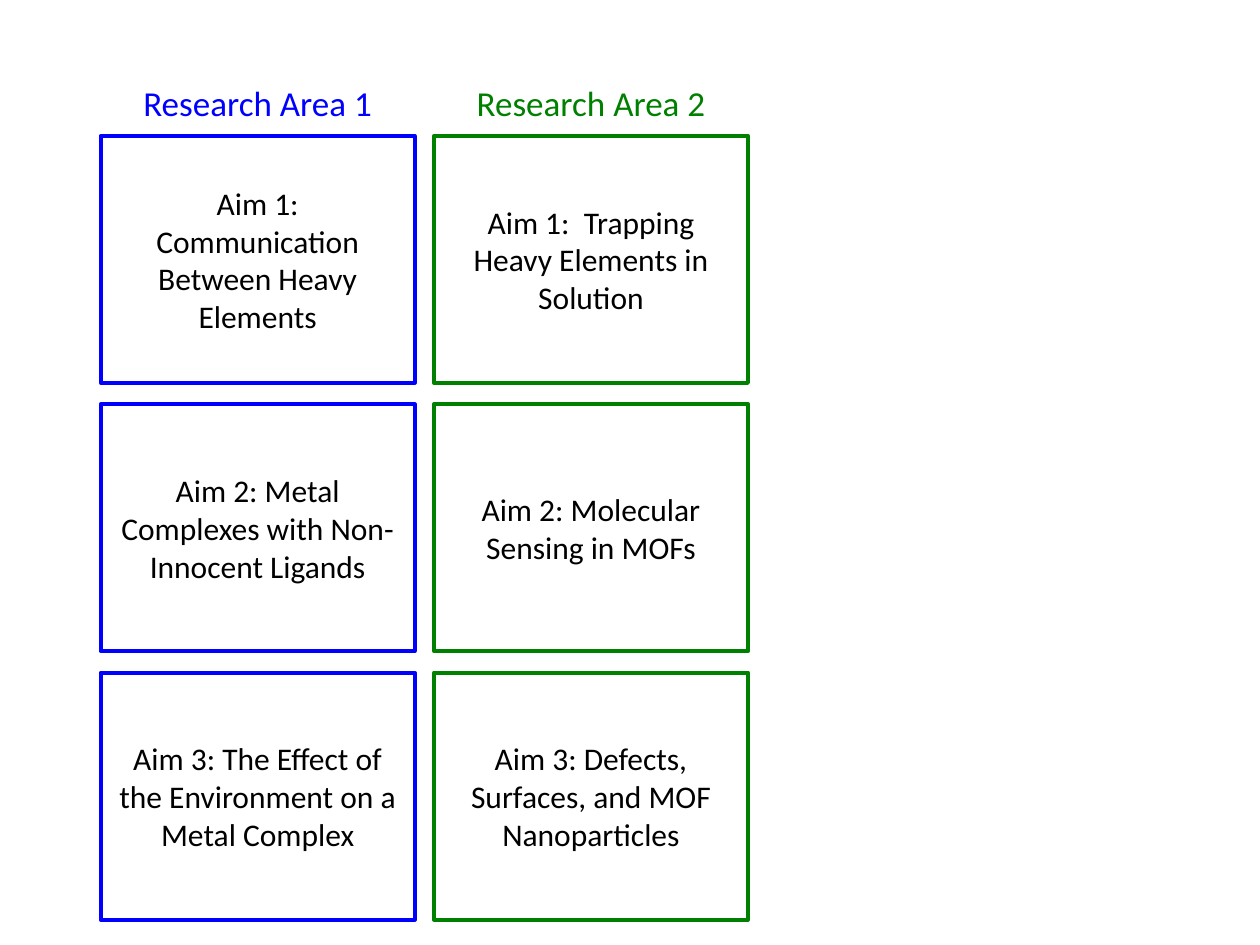
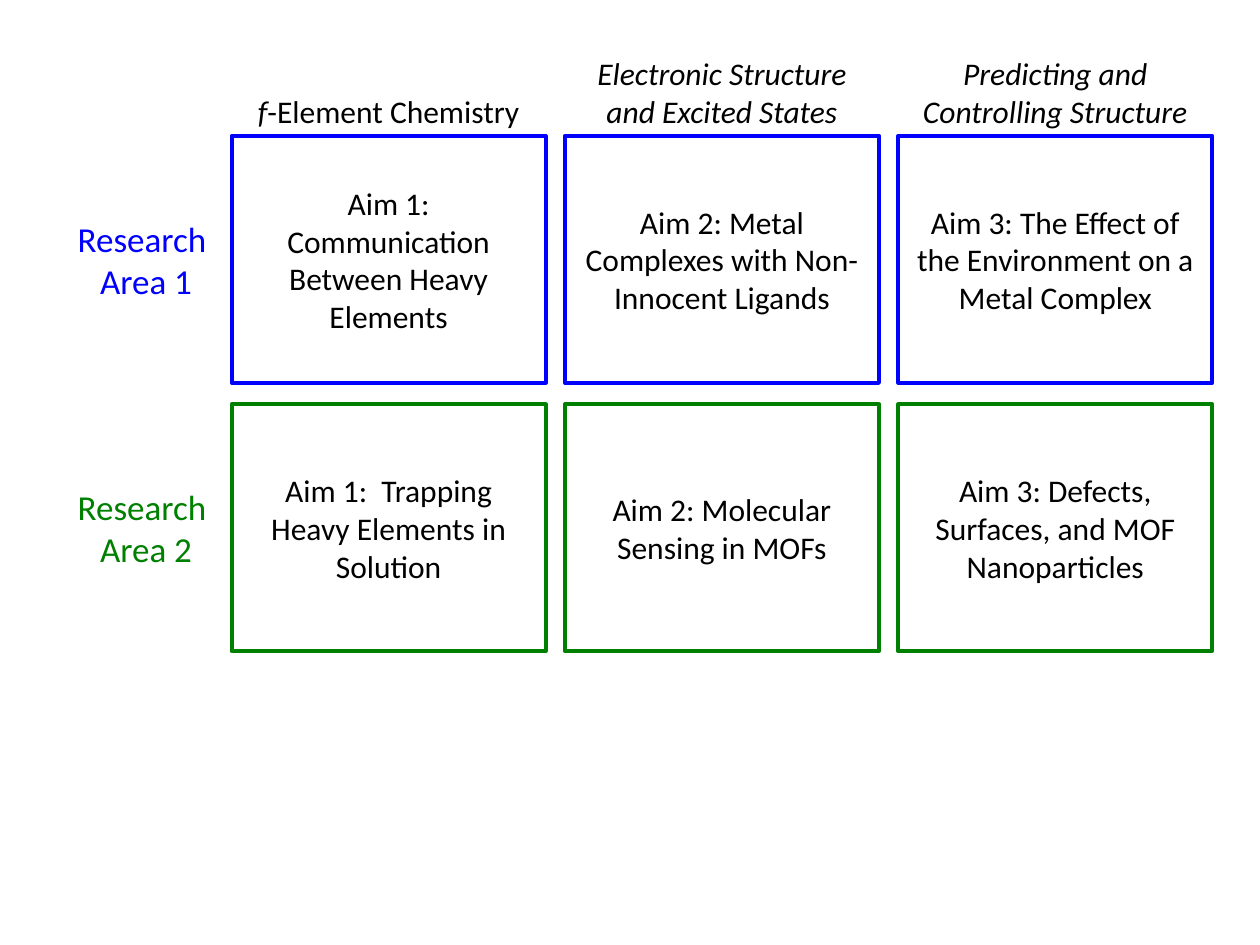
from dataclasses import dataclass

import pptx
import pptx.dml.color
import pptx.enum.shapes
import pptx.enum.text
import pptx.util
from pptx.util import Cm, Pt

ANCHOR = pptx.enum.text.MSO_ANCHOR


@dataclass(frozen=True)
class Theme:
    font: str = "Calibri"
    black: str = "000000"
    blue: str = "0000FF"
    green: str = "008000"
    body_size: float = 18
    area_size: float = 20
    line_width: float = 2.25


@dataclass(frozen=True)
class Area:
    number: int
    color: str
    aims: tuple


THEME = Theme()
AREAS = (
    Area(1, THEME.blue, (
        "Aim 1: Communication Between Heavy Elements",
        "Aim 2: Metal Complexes with Non-Innocent Ligands",
        "Aim 3: The Effect of the Environment on a Metal Complex",
    )),
    Area(2, THEME.green, (
        "Aim 1:  Trapping Heavy Elements in Solution",
        "Aim 2: Molecular Sensing in MOFs",
        "Aim 3: Defects, Surfaces, and MOF Nanoparticles",
    )),
)
# Each theme is a list of (text, italic) runs.
RESEARCH_THEMES = (
    (("f", True), ("-Element Chemistry", False)),
    (("Electronic Structure and Excited States", True),),
    (("Predicting and Controlling Structure", True),),
)

BOX_WIDTH, BOX_HEIGHT = Cm(6.33), Cm(4.98)
COLUMN_STEP, ROW_STEP = Cm(6.72), Cm(5.41)
GRID_TOP = Cm(2.74)
AREAS_GRID_LEFT, THEMES_GRID_LEFT = Cm(2.03), Cm(4.67)
AREA_HEADING_TOP, AREA_HEADING_HEIGHT = Cm(1.5), Cm(1.12)
THEME_HEADING_HEIGHT = Cm(1.8)
SIDE_LABEL_LEFT, SIDE_LABEL_WIDTH = Cm(1), Cm(3.89)


def rgb(color):
    return pptx.dml.color.RGBColor.from_string(color)


def style_text(text_frame, size, color, anchor):
    text_frame.word_wrap = True
    text_frame.vertical_anchor = anchor
    for paragraph in text_frame.paragraphs:
        paragraph.alignment = pptx.enum.text.PP_ALIGN.CENTER
        for run in paragraph.runs:
            run.font.name = THEME.font
            run.font.size = Pt(size)
            run.font.color.rgb = rgb(color)


def add_aim_box(slide, left, top, aim, color):
    box = slide.shapes.add_shape(
        pptx.enum.shapes.MSO_SHAPE.RECTANGLE, left, top, BOX_WIDTH, BOX_HEIGHT)
    box.shadow.inherit = False
    box.fill.background()
    box.line.color.rgb = rgb(color)
    box.line.width = Pt(THEME.line_width)
    box.text_frame.text = aim
    style_text(box.text_frame, THEME.body_size, THEME.black, ANCHOR.MIDDLE)


def add_area_label(slide, left, top, width, height, text, color):
    label = slide.shapes.add_textbox(left, top, width, height)
    label.text_frame.text = text
    style_text(label.text_frame, THEME.area_size, color, ANCHOR.MIDDLE)


def add_theme_heading(slide, left, runs):
    """Place a column heading that rests on the top edge of the grid."""
    heading = slide.shapes.add_textbox(
        left, GRID_TOP - THEME_HEADING_HEIGHT, BOX_WIDTH, THEME_HEADING_HEIGHT)
    paragraph = heading.text_frame.paragraphs[0]
    for text, italic in runs:
        run = paragraph.add_run()
        run.text = text
        run.font.italic = italic
    style_text(heading.text_frame, THEME.body_size, THEME.black, ANCHOR.BOTTOM)


def add_blank_slide(presentation):
    return presentation.slides.add_slide(presentation.slide_layouts[6])


def build_areas_as_columns(presentation):
    slide = add_blank_slide(presentation)
    for column, area in enumerate(AREAS):
        left = AREAS_GRID_LEFT + column * COLUMN_STEP
        add_area_label(slide, left, AREA_HEADING_TOP, BOX_WIDTH,
                       AREA_HEADING_HEIGHT, f"Research Area {area.number}", area.color)
        for row, aim in enumerate(area.aims):
            add_aim_box(slide, left, GRID_TOP + row * ROW_STEP, aim, area.color)


def build_areas_as_rows(presentation):
    slide = add_blank_slide(presentation)
    lefts = [THEMES_GRID_LEFT + column * COLUMN_STEP
             for column in range(len(RESEARCH_THEMES))]
    for left, runs in zip(lefts, RESEARCH_THEMES):
        add_theme_heading(slide, left, runs)
    for row, area in enumerate(AREAS):
        top = GRID_TOP + row * ROW_STEP
        add_area_label(slide, SIDE_LABEL_LEFT, top, SIDE_LABEL_WIDTH, BOX_HEIGHT,
                       f"Research \nArea {area.number}", area.color)
        for left, aim in zip(lefts, area.aims):
            add_aim_box(slide, left, top, aim, area.color)


def main():
    presentation = pptx.Presentation()
    presentation.slide_width, presentation.slide_height = Cm(25.4), Cm(19.05)
    build_areas_as_columns(presentation)
    build_areas_as_rows(presentation)
    presentation.save("out.pptx")


if __name__ == "__main__":
    main()
